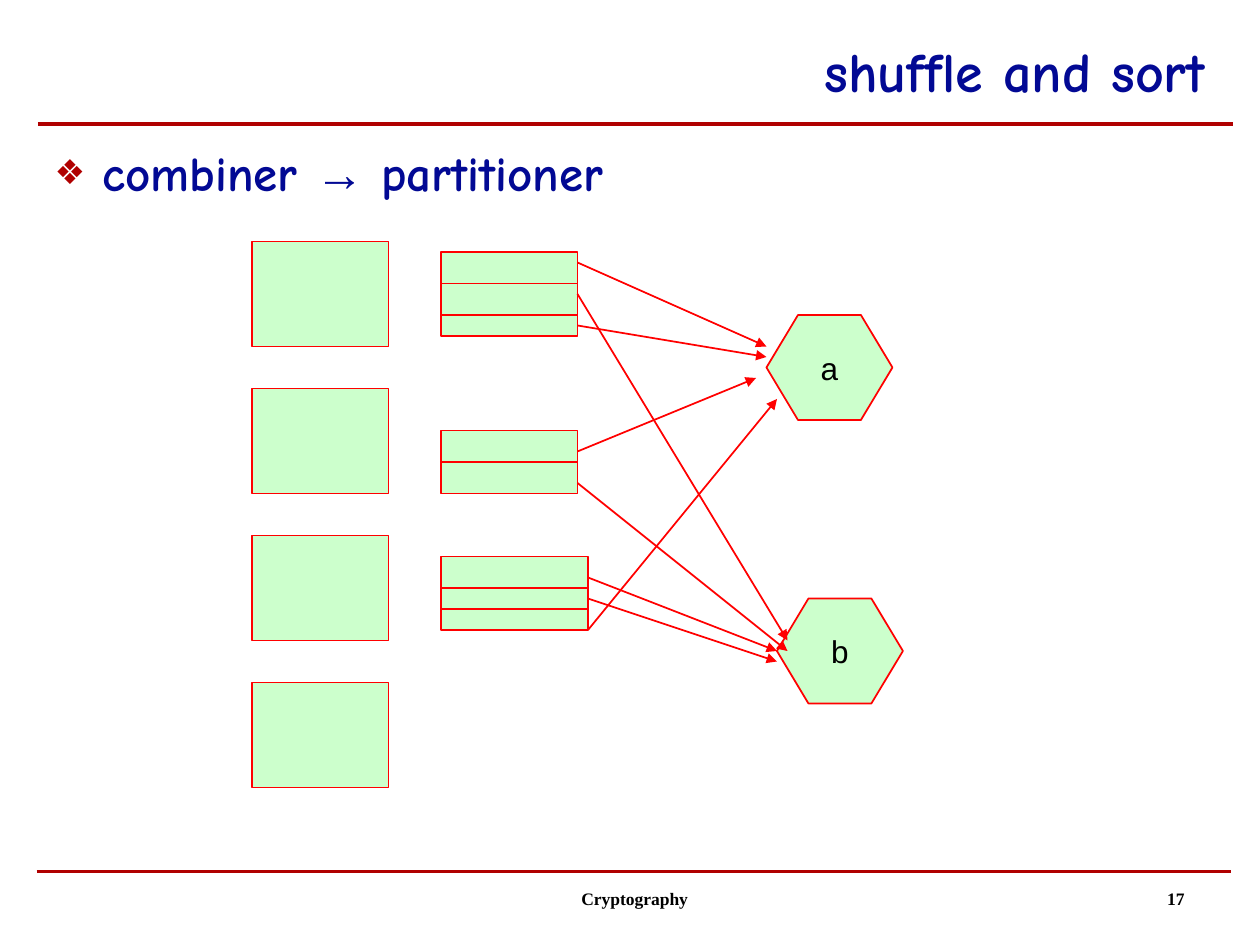
from lxml.etree import SubElement
from pptx import Presentation
from pptx.dml.color import RGBColor
from pptx.enum.shapes import MSO_CONNECTOR, MSO_SHAPE
from pptx.enum.text import MSO_ANCHOR, PP_ALIGN
from pptx.oxml.ns import qn
from pptx.util import Inches, Pt

NAVY, CRIMSON, RED, MINT, BLACK = "020994", "B00000", "FF0000", "CCFFCC", "000000"


def paint(fill, color):
    fill.solid()
    fill.fore_color.rgb = RGBColor.from_string(color)


def write(frame, text, font="Arial", size=18, color=BLACK, bold=False,
          align=PP_ALIGN.LEFT, anchor=MSO_ANCHOR.TOP, wrap=True):
    frame.word_wrap = wrap
    frame.vertical_anchor = anchor
    para = frame.paragraphs[0]
    para.alignment = align
    span = para.add_run()
    span.text = text
    span.font.name = font
    span.font.size = Pt(size)
    span.font.bold = bold
    paint(span.font.fill, color)


deck = Presentation()
deck.slide_width, deck.slide_height = Inches(10), Inches(7.5)
column, row = deck.slide_width // 120, deck.slide_height // 90
page = deck.slides.add_slide(deck.slide_layouts[1])

title, body = page.shapes.title, page.placeholders[1]
title.left, title.top, title.width, title.height = 33 * column, 3 * row, 83 * column, int(7.5 * row)
write(title.text_frame, "shuffle and sort", font="Comic Neue", size=32, color=NAVY,
      bold=True, align=PP_ALIGN.RIGHT, anchor=MSO_ANCHOR.BOTTOM)

body.left, body.top, body.width, body.height = 4 * column, 13 * row, 113 * column, 69 * row
for text, font in [("combiner ", "Comic Neue"), ("→", "Arial"), (" partitioner", "Comic Neue")]:
    write(body.text_frame, text, font=font, size=28, color=NAVY, bold=True)
para = body.text_frame.paragraphs[0]
para.space_before = Pt(7)
bullet = para._p.get_or_add_pPr()
bullet.set("marL", str(Inches(0.38)))
bullet.set("indent", str(Inches(-0.38)))
SubElement(SubElement(bullet, qn("a:buClr")), qn("a:srgbClr"), val=CRIMSON)
SubElement(bullet, qn("a:buSzPct"), val="70000")
SubElement(bullet, qn("a:buChar"), char="❖")

stacks = [
    (24, 13, 8, [27, 30], [(25, 73, 33), (28, 75, 61), (31, 73, 34)]),
    (41, 13, 6, [44], [(43, 72, 36), (46, 75, 62)]),
    (53, 14, 7, [56, 58], [(55, 74, 62), (57, 74, 63), (60, 74, 38)]),
]
blocks = [(MSO_SHAPE.RECTANGLE, 24, 23 + 14 * index, 13, 10, "") for index in range(4)]
blocks += [(MSO_SHAPE.HEXAGON, 73, 30, 12, 10, "a"), (MSO_SHAPE.HEXAGON, 74, 57, 12, 10, "b")]
blocks += [(MSO_SHAPE.RECTANGLE, 42, top, width, height, "") for top, width, height, *_ in stacks]
boxes = []
for kind, left, top, width, height, label in blocks:
    box = page.shapes.add_shape(kind, left * column, top * row, width * column, height * row)
    box.shadow.inherit = False
    paint(box.fill, MINT)
    paint(box.line.fill, RED)
    box.line.width = Pt(1)
    if label:
        box.adjustments[0] = 0.3
        write(box.text_frame, label, align=PP_ALIGN.CENTER, anchor=MSO_ANCHOR.MIDDLE, wrap=False)
    boxes.append(box)

lines = [(3.5, 83, 117.25, 83, CRIMSON, 2, False, None, None),
         (3.6, 11.8, 117.4, 11.8, CRIMSON, 2, False, None, None)]
for box, (top, width, height, dividers, arrows) in zip(boxes[-len(stacks):], stacks):
    right, middle = 42 + width, top + height / 2
    for level in dividers:
        joined = box if level == middle else None
        lines.append((42, level, right, level, RED, 1, False, joined, joined))
    for level, goal, depth in arrows:
        joined = box if level == middle else None
        lines.append((right, level, goal, depth, RED, 1, True, joined, None))

for x1, y1, x2, y2, color, weight, arrow, source, target in lines:
    line = page.shapes.add_connector(MSO_CONNECTOR.STRAIGHT, int(x1 * column), int(y1 * row),
                                     int(x2 * column), int(y2 * row))
    if source:
        line.begin_connect(source, 3 if arrow else 1)
    if target:
        line.end_connect(target, 3)
    paint(line.line.fill, color)
    line.line.width = Pt(weight)
    properties = line._element.spPr
    if arrow:
        SubElement(properties.find(qn("a:ln")), qn("a:tailEnd"), type="triangle")
    SubElement(properties, qn("a:effectLst"))

for text, left, width, height, align in [("Cryptography", 40, 38, 6, PP_ALIGN.CENTER),
                                         ("17", 86, 28, 5.5, PP_ALIGN.RIGHT)]:
    box = page.shapes.add_textbox(left * column, 84 * row, width * column, int(height * row))
    write(box.text_frame, text, font="Times New Roman", size=10, bold=True, align=align)
    box.text_frame.paragraphs[0]._p.get_or_add_pPr().set("marL", str(Inches(0.24)))

deck.save("out.pptx")
